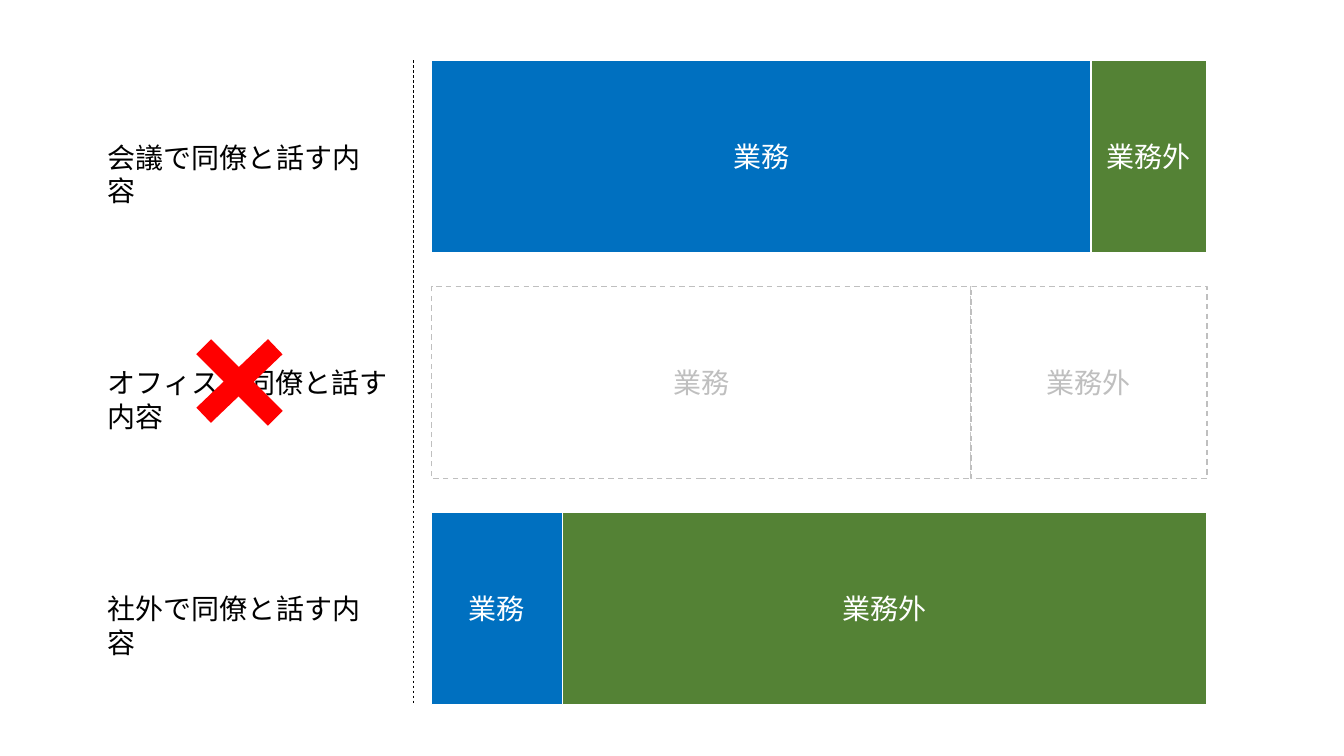
"""Build a slide comparing work and non-work talk in three settings."""
from lxml.etree import SubElement
from pptx import Presentation
from pptx.dml.color import RGBColor as Rgb
from pptx.enum.dml import MSO_LINE as Dash
from pptx.enum.shapes import MSO_CONNECTOR as Link, MSO_SHAPE as Shape
from pptx.enum.text import MSO_ANCHOR as Anchor, PP_ALIGN as Align
from pptx.oxml.ns import qn
from pptx.util import Pt

FONT = "Noto Sans CJK JP"
BLUE, GREEN, WHITE = "0070C0", "548235", "FFFFFF"
GRAY, BLACK, RED = "BFBFBF", "000000", "FF0000"
LEFT, RIGHT, TOP = 428, 1197, 60
HIGH, STEP = 191, 224
ROWS = [
    ("会議で同僚と話す内容", 281, 1082, True),
    ("オフィスで同僚と話す内容", 303, 963, False),
    ("社外で同僚と話す内容", 281, 558, True),
]


def px(n):
    return n * 9144


def tint(code):
    return Rgb.from_string(code)


def write(shape, text, size=20, color=BLACK, align=Align.LEFT, anchor=Anchor.TOP):
    frame = shape.text_frame
    frame.word_wrap = True
    frame.vertical_anchor = anchor
    para = frame.paragraphs[0]
    para.alignment = align
    run = para.add_run()
    run.text = text
    run.font.size = Pt(size)
    run.font.color.rgb = tint(color)
    run.font.name = FONT
    SubElement(run._r.get_or_add_rPr(), qn("a:ea"), typeface=FONT)


def stroke(line, color, width, dash=False):
    line.color.rgb = tint(color)
    line.width = Pt(width)
    if dash:
        line.dash_style = Dash.DASH


def block(slide, text, x, y, end, fill, edge, ink, dash):
    box = slide.shapes.add_shape(Shape.RECTANGLE, px(x), px(y), px(end - x), px(HIGH))
    box.shadow.inherit = False
    box.fill.solid()
    box.fill.fore_color.rgb = tint(fill)
    stroke(box.line, edge, 1, dash)
    write(box, text, color=ink, align=Align.CENTER, anchor=Anchor.MIDDLE)


def label(slide, text, y, width):
    box = slide.shapes.add_textbox(px(97), px(y), px(width), px(44))
    write(box, text)


def rule(shapes, x1, y1, x2, y2, color, width, dash=False):
    line = shapes.add_connector(Link.STRAIGHT, px(x1), px(y1), px(x2), px(y2))
    stroke(line.line, color, width, dash)
    SubElement(line._element.spPr, qn("a:effectLst"))


def main():
    deck = Presentation()
    deck.slide_width, deck.slide_height = px(1333), px(750)
    slide = deck.slides.add_slide(deck.slide_layouts[6])
    for i, (_, _, split, live) in enumerate(ROWS):
        y = TOP + i * STEP
        edge, ink = (WHITE, WHITE) if live else (GRAY, GRAY)
        parts = [("業務", LEFT, split, BLUE), ("業務外", split, RIGHT, GREEN)]
        for text, x, end, fill in parts:
            block(slide, text, x, y, end, fill if live else WHITE, edge, ink, not live)
    for i, (text, width, _, _) in enumerate(ROWS):
        label(slide, text, TOP + i * STEP + 74, width)
    rule(slide.shapes, 410, TOP, 410, 699, BLACK, 0.5, dash=True)
    cross = slide.shapes.add_group_shape()
    rule(cross.shapes, 202, 412, 273, 344, RED, 15)
    rule(cross.shapes, 202, 344, 273, 415, RED, 15)
    deck.save("out.pptx")


if __name__ == "__main__":
    main()
